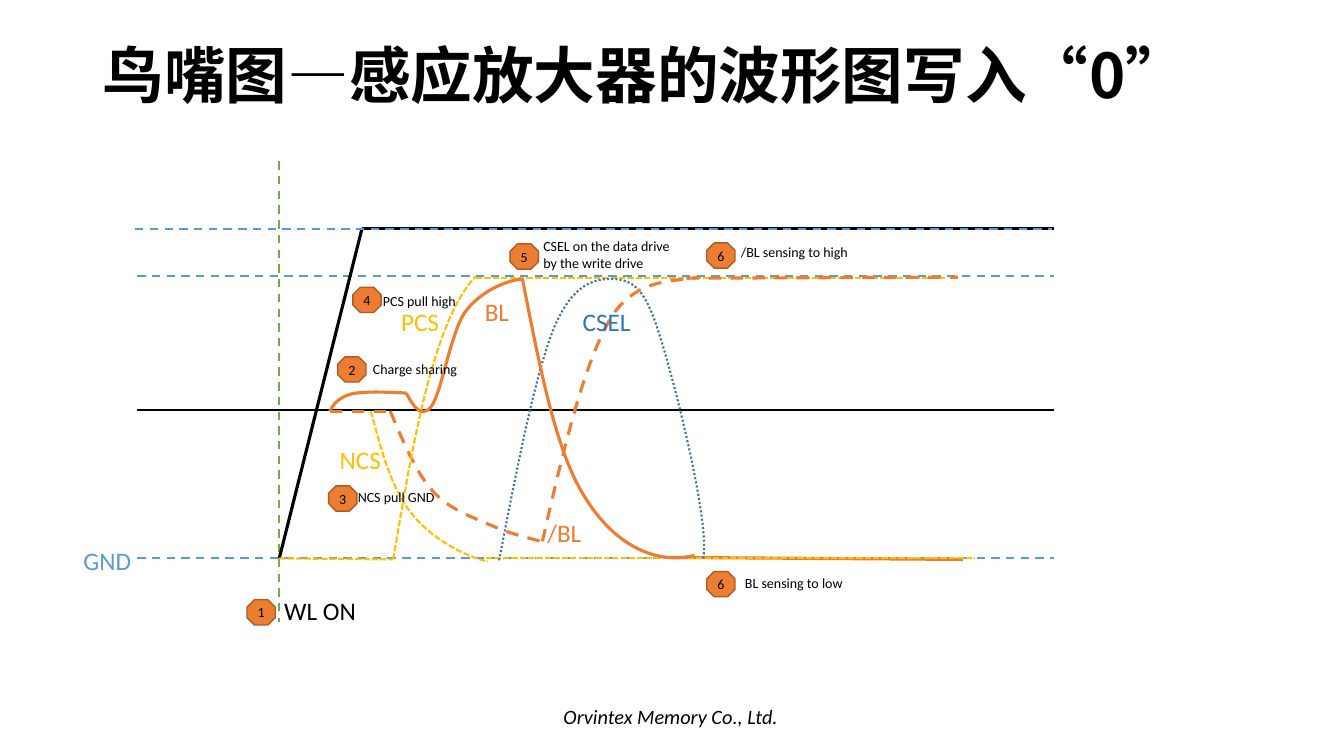
from pptx import Presentation
from pptx.dml.color import RGBColor
from pptx.enum.dml import MSO_LINE_DASH_STYLE as Dash
from pptx.enum.shapes import MSO_CONNECTOR, MSO_SHAPE
from pptx.enum.text import MSO_ANCHOR, PP_ALIGN
from pptx.oxml.ns import qn
from pptx.oxml.xmlchemy import OxmlElement
from pptx.util import Inches, Pt

COLORS = {"black": "000000", "blue": "5B9BD5", "deep blue": "2E75B6",
          "slate": "43739E", "green": "70AD47", "orange": "ED7D31",
          "rust": "AF5C24", "yellow": "FFC000"}
LATIN, CHINESE = "Calibri", "Noto Sans CJK SC"

# Voltage levels (y) and key moments (x), in inches
BOOST, HIGH, FULL, HALF, GND = 2.27, 2.74, 2.76, 4.08, 5.54
AXIS_LEFT, AXIS_RIGHT = 1.36, 10.45
WL_START, WL_FULL, SHARE_START, SHARE_END = 2.77, 3.59, 3.27, 3.87
PCS_START, PCS_FULL, WRITE = 3.9, 4.72, 5.18

STYLES = {  # colour, width in points, dash
    "level": ("blue", 1.5, Dash.DASH),
    "half level": ("black", 1.5, Dash.SOLID),
    "moment": ("green", 1.5, Dash.DASH),
    "WL": ("black", 2.25, Dash.SOLID),
    "BL": ("orange", 2.25, Dash.SOLID),
    "/BL": ("orange", 2.25, Dash.DASH),
    "control": ("yellow", 1.5, Dash.SQUARE_DOT),
    "CSEL": ("slate", 1.5, Dash.ROUND_DOT),
}

# Two points make a line; longer lists are a start and Bézier triples
TRACES = [
    ("level", [(AXIS_LEFT, GND), (AXIS_RIGHT, GND)]),
    ("half level", [(AXIS_LEFT, 4.07), (AXIS_RIGHT, 4.07)]),
    ("level", [(AXIS_LEFT, HIGH), (AXIS_RIGHT, HIGH)]),
    ("moment", [(WL_START, 1.6), (WL_START, 6.17)]),
    ("WL", [(WL_START, GND), (WL_FULL, BOOST)]),
    ("WL", [(WL_FULL, BOOST), (AXIS_RIGHT, BOOST)]),
    ("level", [(1.34, BOOST), (10.43, BOOST)]),
    ("BL", [(6.67, 5.53), (9.55, 5.55)]),
    ("/BL", [(SHARE_END, HALF), (4, 4.38), (4.12, 4.68), (4.29, 4.87),
             (4.46, 5.06), (4.71, 5.14), (4.89, 5.22),
             (5.07, 5.3), (5.26, 5.34), (5.36, 5.37)]),
    ("control", [(3.68, HALF), (3.78, 4.46), (3.88, 4.84), (4.08, 5.09),
                 (4.27, 5.34), (4.63, 5.53), (4.84, 5.57)]),
    ("control", [(PCS_START, 5.55), (4.1, 4.36), (4.3, 3.18), (PCS_FULL, HIGH)]),
    ("control", [(PCS_FULL, FULL), (9.38, FULL)]),
    ("control", [(4.82, GND), (9.67, GND)]),
    ("/BL", [(6.81, FULL), (9.5, 2.75)]),
    ("BL", [(SHARE_START, HALF), (3.31, 4.01), (3.35, 3.95), (3.48, 3.91),
            (3.61, 3.88), (3.82, 3.89), (4.03, 3.9)]),
    ("BL", [(4.03, 3.9), (4.1, 4.03), (4.18, 4.16), (4.28, 4.03),
            (4.38, 3.89), (4.47, 3.31), (4.61, 3.1),
            (4.76, 2.89), (5.03, 2.78), (5.17, 2.77)]),
    ("CSEL", [(4.95, 5.56), (5.13, 4.63), (5.31, 3.7), (5.5, 3.24),
              (5.7, 2.78), (5.93, 2.76), (6.11, 2.77),
              (6.28, 2.79), (6.4, 2.86), (6.54, 3.32),
              (6.69, 3.78), (7.06, 5.26), (6.97, 5.55)]),
    ("/BL", [(SHARE_START, HALF), (SHARE_END, HALF)]),
    ("/BL", [(5.38, 5.37), (5.58, 4.49), (5.79, 3.61), (6.05, 3.17),
             (6.31, 2.73), (6.74, 2.8), (6.93, 2.75)]),
    ("BL", [(WRITE, FULL), (5.35, 3.62), (5.51, 4.48), (5.8, 4.93),
            (6.08, 5.39), (6.49, 5.61), (6.89, 5.51)]),
    ("control", [(WL_START, GND), (PCS_START, 5.55)]),
]

SIGNALS = [  # text, colour, left, top, width
    ("WL ON", "black", 2.72, 5.86, 1.12),
    ("GND", "blue", 0.73, 5.36, 0.86),
    ("BL", "orange", 4.71, 2.89, 1.59),
    ("/BL", "orange", 5.33, 5.08, 1.74),
    ("CSEL", "deep blue", 5.68, 2.99, 0.72),
    ("NCS", "yellow", 3.27, 4.36, 0.66),
    ("PCS", "yellow", 3.88, 2.99, 0.66),
]

STEPS = [  # number, badge left and top, note, note left, top and width
    ("1", 2.45, 5.95, None),
    ("2", 3.35, 3.54, ("Charge sharing", 3.6, 3.53, 1.22)),
    ("3", 3.26, 4.82, ("NCS pull GND", 3.45, 4.8, 1.48)),
    ("4", 3.5, 2.85, ("PCS pull high", 3.7, 2.85, 2.2)),
    ("5", 5.06, 2.42, ("CSEL on the data drive by the write drive", 5.29, 2.31, 1.58)),
    ("6", 7.01, 2.41, ("/BL sensing to high", 7.25, 2.37, 2.39)),
    ("6", 7.01, 5.67, ("BL sensing to low", 7.29, 5.65, 2.12)),
]
BADGE_WIDTH, BADGE_HEIGHT = 0.28, 0.25


def rgb(name):
    return RGBColor.from_string(COLORS[name])


def write(shape, text, size, color="black", font=LATIN, **formats):
    para = shape.text_frame.paragraphs[0]
    span = para.add_run()
    span.text = text
    span.font.color.rgb = rgb(color)
    values = {"name": font, "size": Pt(size), **formats}
    for key, value in values.items():
        setattr(span.font, key, value)
    if font == CHINESE:
        east_asian = OxmlElement("a:ea")
        east_asian.set("typeface", font)
        span.font._element.find(qn("a:latin")).addnext(east_asian)
    return para


def add_label(page, text, size, left, top, width, height, color="black", **formats):
    box = page.shapes.add_textbox(*map(Inches, (left, top, width, height)))
    box.text_frame.word_wrap = True
    return write(box, text, size, color, **formats)


def add_curve(page, points):
    """Draw the control polygon, then turn each three segments into one Bézier."""
    start, *rest = [(Inches(x), Inches(y)) for x, y in points]
    builder = page.shapes.build_freeform(*start)
    builder.add_line_segments(rest, close=False)
    curve = builder.convert_to_shape()
    curve.fill.background()
    curve.shadow.inherit = False
    segments = list(curve._element.iter(qn("a:lnTo")))
    for first in range(0, len(segments), 3):
        bezier = OxmlElement("a:cubicBezTo")
        segments[first].addprevious(bezier)
        for segment in segments[first:first + 3]:
            bezier.append(segment[0])
            segment.getparent().remove(segment)
    return curve


def add_trace(page, style, points):
    straight = len(points) == 2
    if straight:
        ends = [Inches(value) for point in points for value in point]
        trace = page.shapes.add_connector(MSO_CONNECTOR.STRAIGHT, *ends)
    else:
        trace = add_curve(page, points)
    color, width, dash = STYLES[style]
    trace.line.color.rgb = rgb(color)
    trace.line.width = Pt(width)
    trace.line.dash_style = dash
    if straight:
        trace._element.spPr.append(OxmlElement("a:effectLst"))


def add_badge(page, number, left, top):
    badge = page.shapes.add_shape(
        MSO_SHAPE.OCTAGON, *map(Inches, (left, top, BADGE_WIDTH, BADGE_HEIGHT)))
    badge.shadow.inherit = False
    badge.fill.solid()
    badge.fill.fore_color.rgb = rgb("orange")
    badge.line.color.rgb = rgb("rust")
    badge.line.width = Pt(1)
    frame = badge.text_frame
    for side in ("left", "top", "right", "bottom"):
        setattr(frame, f"margin_{side}", 0)
    frame.word_wrap = False
    frame.vertical_anchor = MSO_ANCHOR.MIDDLE
    write(badge, number, 10).alignment = PP_ALIGN.CENTER


def main():
    deck = Presentation()
    deck.slide_width, deck.slide_height = Inches(13.33), Inches(7.5)
    page = deck.slides.add_slide(deck.slide_layouts[6])
    add_label(page, "Orvintex Memory Co., Ltd.", 14.5, 5.49, 6.94, 2.45, 0.34, italic=True)
    title = add_label(page, "鸟嘴图—感应放大器的波形图写入“0”", 44,
                      0.92, 0.4, 11.5, 1.45, font=CHINESE, bold=True)
    title.line_spacing = 0.9
    for style, points in TRACES:
        add_trace(page, style, points)
    for text, color, left, top, width in SIGNALS:
        add_label(page, text, 18, left, top, width, 0.4, color)
    for number, left, top, note in STEPS:
        add_badge(page, number, left, top)
        if note:
            text, *place = note
            add_label(page, text, 10, *place, 0.27)
    deck.save("out.pptx")


if __name__ == "__main__":
    main()
